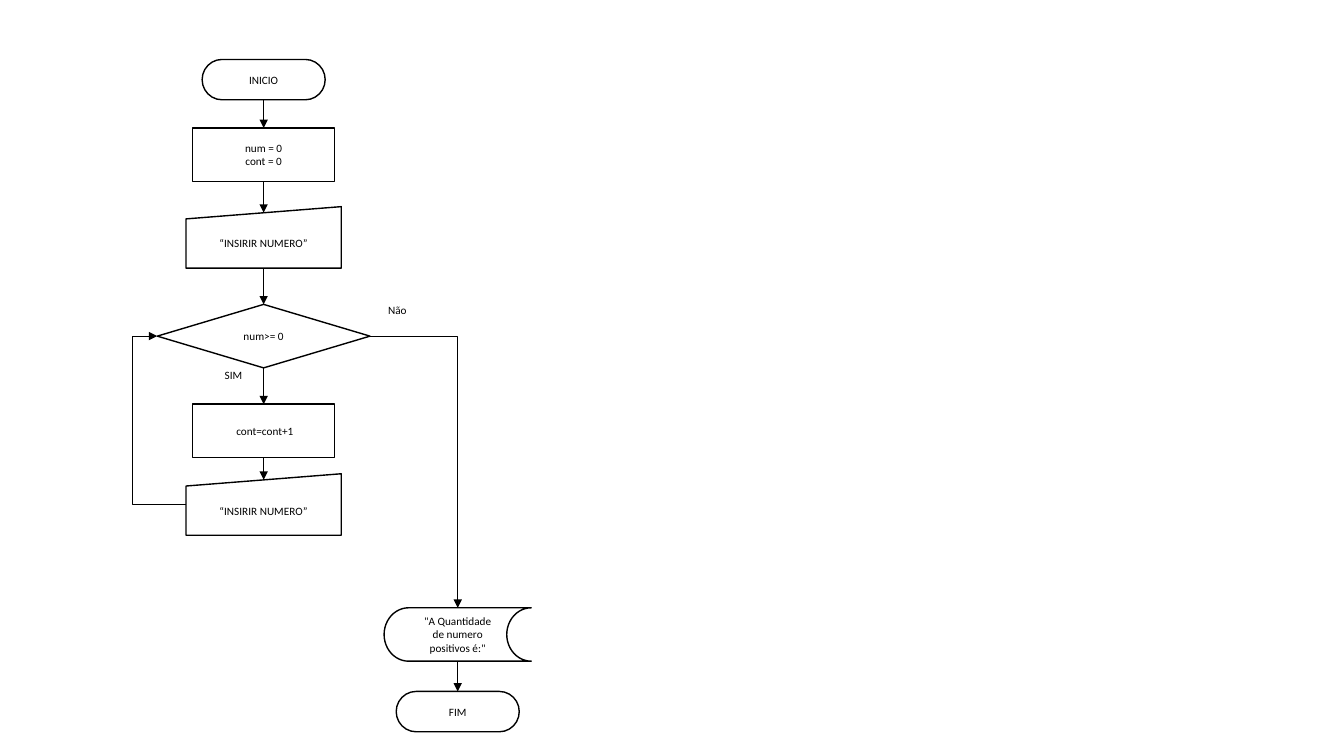
from collections import namedtuple

from lxml import etree
from pptx import Presentation
from pptx.dml.color import RGBColor
from pptx.enum import shapes, text
from pptx.oxml import ns
from pptx.util import Inches, Pt

BLACK = RGBColor(0, 0, 0)
WHITE = RGBColor(255, 255, 255)
FONT = "Calibri"

Box = namedtuple("Box", "left top width height")
Kind = namedtuple("Kind", "preset width height")

TERMINATOR = Kind(shapes.MSO_SHAPE.FLOWCHART_TERMINATOR, 1.22, 0.4)
PROCESS = Kind(shapes.MSO_SHAPE.FLOWCHART_PROCESS, 1.41, 0.53)
INPUT = Kind(shapes.MSO_SHAPE.FLOWCHART_MANUAL_INPUT, 1.54, 0.61)
DECISION = Kind(shapes.MSO_SHAPE.FLOWCHART_DECISION, 2.11, 0.63)
OUTPUT = Kind(shapes.MSO_SHAPE.FLOWCHART_STORED_DATA, 1.46, 0.53)
# The slanted top edge of a manual input is met halfway down its slope.
ENTRY_DEPTH = {INPUT: 0.06}

# Each step: kind, offset from the top of its column, wording
COUNT_STEPS = [
    (TERMINATOR, 0, "INICIO"),
    (PROCESS, 0.68, "num = 0\ncont = 0"),
    (INPUT, 1.46, "“INSIRIR NUMERO”"),
    (DECISION, 2.43, "num>= 0"),
    (PROCESS, 3.42, " cont=cont+1"),
    (INPUT, 4.11, "“INSIRIR NUMERO”"),
]
RESULT_STEPS = [
    (OUTPUT, 0, "\"A Quantidade de numero positivos é:\""),
    (TERMINATOR, 0.83, "FIM"),
]


def write(frame, wording, align):
    """Put small black wording into a text frame."""
    frame.word_wrap = True
    frame.text = wording
    for paragraph in frame.paragraphs:
        paragraph.alignment = align
        for run in paragraph.runs:
            run.font.size = Pt(8)
            run.font.name = FONT
            run.font.color.rgb = BLACK


def add_step(slide, kind, box, wording):
    """Draw one outlined flowchart symbol."""
    step = slide.shapes.add_shape(kind.preset, *map(Inches, box))
    step.shadow.inherit = False
    step.fill.solid()
    step.fill.fore_color.rgb = WHITE
    step.line.color.rgb = BLACK
    step.line.width = Pt(1)
    step.text_frame.vertical_anchor = text.MSO_ANCHOR.MIDDLE
    write(step.text_frame, wording, text.PP_ALIGN.CENTER)


def add_arrow(slide, start, end, route=shapes.MSO_CONNECTOR.STRAIGHT):
    """Draw a thin connector with a triangle at its end."""
    arrow = slide.shapes.add_connector(route, *map(Inches, (*start, *end)))
    arrow.line.color.rgb = BLACK
    arrow.line.width = Pt(0.5)
    etree.SubElement(arrow.line._get_or_add_ln(), ns.qn("a:tailEnd"), type="triangle")
    etree.SubElement(arrow._element.spPr, ns.qn("a:effectLst"))
    return arrow


def add_elbow(slide, start, end, preset, bend=None):
    """Draw an arrow with right-angled bends; bend is a share of its width."""
    arrow = add_arrow(slide, start, end, shapes.MSO_CONNECTOR.ELBOW)
    geometry = arrow._element.spPr.find(ns.qn("a:prstGeom"))
    geometry.set("prst", preset)
    if bend is not None:
        guides = geometry.find(ns.qn("a:avLst"))
        etree.SubElement(guides, ns.qn("a:gd"), name="adj1",
                         fmla=f"val {round(bend * 100000)}")


def add_branch_label(slide, box, wording):
    """Name a branch of the decision."""
    label = slide.shapes.add_textbox(*map(Inches, box))
    write(label.text_frame, wording, text.PP_ALIGN.LEFT)


def add_column(slide, box, steps):
    """Stack steps centred in the box, join them and return their boxes."""
    centre = box.left + box.width / 2
    places = []
    for kind, offset, wording in steps:
        place = Box(centre - kind.width / 2, box.top + offset, kind.width, kind.height)
        add_step(slide, kind, place, wording)
        if places:
            above = places[-1]
            add_arrow(slide, (centre, above.top + above.height),
                      (centre, place.top + ENTRY_DEPTH.get(kind, 0)))
        places.append(place)
    return places


def add_counting_loop(slide, box):
    """Draw the counting column with its way back; return the decision box."""
    *_, decision, _, repeat_input = add_column(slide, box, COUNT_STEPS)
    start = (repeat_input.left, repeat_input.top + repeat_input.height / 2)
    end = (decision.left, decision.top + decision.height / 2)
    turn = decision.left - 0.25
    add_elbow(slide, start, end, "bentConnector3",
              (start[0] - turn) / (start[0] - end[0]))
    add_branch_label(slide, Box(box.left + 0.57, box.top + 3.02, 0.46, 0.24), "SIM")
    add_branch_label(slide, Box(box.left + 2.19, box.top + 2.37, 0.61, 0.24), "Não")
    return decision


def add_result(slide, box, decision):
    """Draw the closing column, reached from the right of the decision."""
    output, _ = add_column(slide, box, RESULT_STEPS)
    add_elbow(slide,
              (decision.left + decision.width, decision.top + decision.height / 2),
              (output.left + output.width / 2, output.top), "bentConnector2")


def main():
    """Build the flowchart slide and save it."""
    deck = Presentation()
    deck.slide_width, deck.slide_height = Inches(13.33), Inches(7.5)
    slide = deck.slides.add_slide(deck.slide_layouts[6])
    decision = add_counting_loop(slide, Box(1.56, 0.59, 2.11, 4.72))
    add_result(slide, Box(3.81, 6.03, 1.46, 1.23), decision)
    deck.save("out.pptx")


main()
